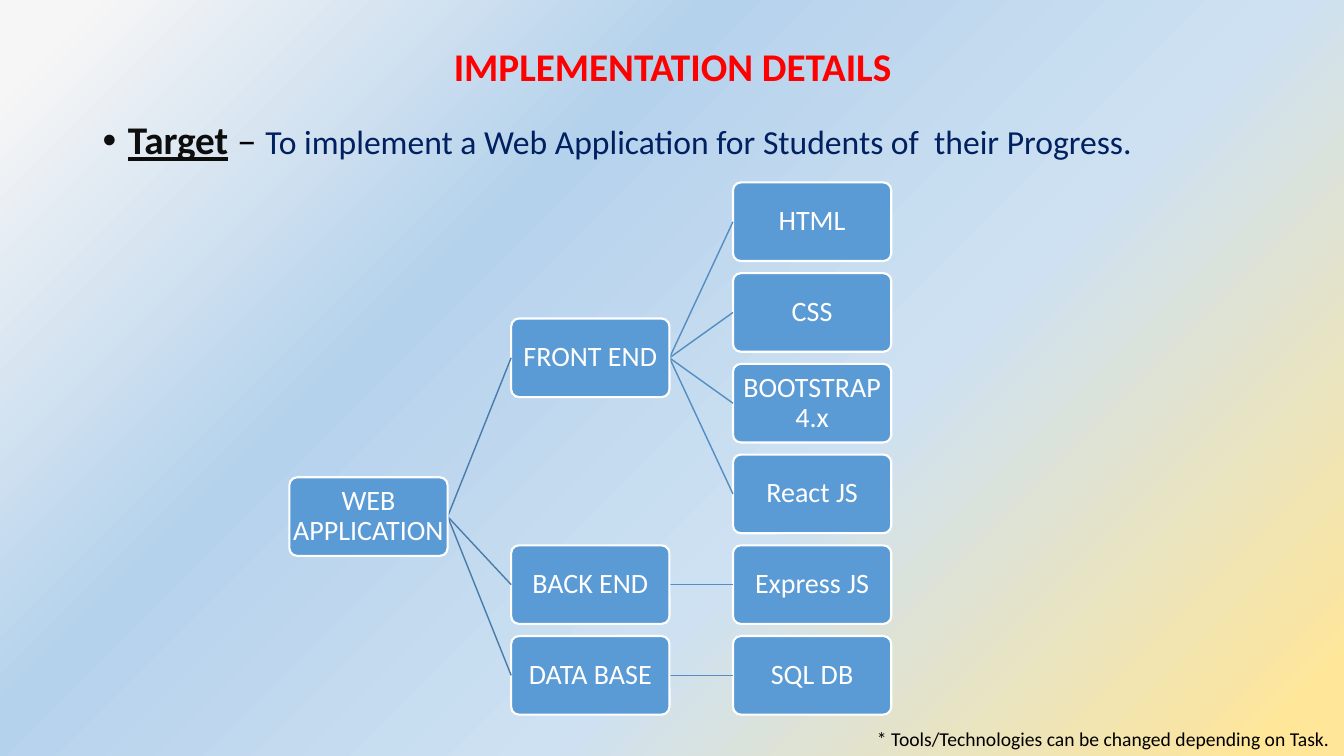
from dataclasses import dataclass

import lxml.etree
import pptx
import pptx.dml.color
import pptx.enum.shapes
import pptx.enum.text
import pptx.oxml.ns
import pptx.slide
import pptx.text.text
import pptx.util

Inches = pptx.util.Inches
Align = pptx.enum.text.PP_ALIGN
Anchor = pptx.enum.text.MSO_ANCHOR
qn = pptx.oxml.ns.qn

LEFT, TOP = 2.87, 1.81  # corner of the tree grid, in inches
COL, ROW = 2.2, 0.9  # grid pitch
WIDE, HIGH = 1.57, 0.78  # box size
LINKS = ["497CAB", "538DC1"]  # link colour by depth
STOPS = [(4, "F7F6F6"), (34, "B5D2EC"), (62, "CEE1F2"), (96, "FFE699")]


@dataclass
class Node:
    name: str
    kids: tuple["Node", ...] = ()


TREE = Node("WEB APPLICATION", (
    Node("FRONT END", (
        Node("HTML"), Node("CSS"), Node("BOOTSTRAP 4.x"), Node("React JS"))),
    Node("BACK END", (Node("Express JS"),)),
    Node("DATA BASE", (Node("SQL DB"),)),
))


def color(code: str) -> pptx.dml.color.RGBColor:
    return pptx.dml.color.RGBColor.from_string(code)


def style(font: pptx.text.text.Font, size: float, code: str,
          bold: bool = False) -> None:
    font.name = "Calibri"
    font.size = pptx.util.Pt(size)
    font.bold = bold
    font.color.rgb = color(code)


def paint(slide: pptx.slide.Slide) -> None:
    """Fill the background with the diagonal gradient."""
    fill = slide.background.fill
    fill.gradient()
    grad = slide.background._cSld.find(".//" + qn("a:gradFill"))
    stops = grad.find(qn("a:gsLst"))
    for stop in list(stops):
        stops.remove(stop)
    for pos, code in STOPS:
        stop = lxml.etree.SubElement(stops, qn("a:gs"), pos=str(pos * 1000))
        lxml.etree.SubElement(stop, qn("a:srgbClr"), val=code)
    line = grad.find(qn("a:lin"))
    line.set("ang", str(45 * 60000))
    line.set("scaled", "0")


def write(slide: pptx.slide.Slide, left: float, top: float, width: float,
          height: float, wrap: bool = True) -> pptx.text.text.TextFrame:
    box = slide.shapes.add_textbox(
        Inches(left), Inches(top), Inches(width), Inches(height))
    box.text_frame.word_wrap = wrap
    return box.text_frame


def link(slide: pptx.slide.Slide, depth: int, start: float,
         end: float) -> None:
    """Join a box to its child, from row to row."""
    left = LEFT + depth * COL + WIDE
    mid = TOP + HIGH / 2
    wire = slide.shapes.add_connector(
        pptx.enum.shapes.MSO_CONNECTOR.STRAIGHT,
        Inches(left), Inches(mid + start * ROW),
        Inches(left + COL - WIDE), Inches(mid + end * ROW))
    wire.line.color.rgb = color(LINKS[depth])
    wire.line.width = pptx.util.Pt(1)
    lxml.etree.SubElement(wire._element.spPr, qn("a:effectLst"))


def block(slide: pptx.slide.Slide, name: str, depth: int,
          row: float) -> None:
    box = slide.shapes.add_shape(
        pptx.enum.shapes.MSO_SHAPE.ROUNDED_RECTANGLE,
        Inches(LEFT + depth * COL), Inches(TOP + row * ROW),
        Inches(WIDE), Inches(HIGH))
    box.adjustments[0] = 0.1
    box.shadow.inherit = False
    box.fill.solid()
    box.fill.fore_color.rgb = color("5B9BD5")
    box.line.color.rgb = color("FFFFFF")
    box.line.width = pptx.util.Pt(1.5)
    frame = box.text_frame
    frame.word_wrap = True
    frame.vertical_anchor = Anchor.MIDDLE
    # The rounded corners already inset the text.
    frame.margin_left = frame.margin_right = 0
    frame.margin_top = frame.margin_bottom = 0
    para = frame.paragraphs[0]
    para.text = name
    para.alignment = Align.CENTER
    para.line_spacing = 0.9
    style(para.font, 20, "FFFFFF")


def grow(slide: pptx.slide.Slide, node: Node, depth: int = 0,
         first: int = 0) -> tuple[float, int]:
    """Draw a subtree; return its row and the next free leaf row."""
    rows, free = [], first
    for kid in node.kids:
        row, free = grow(slide, kid, depth + 1, free)
        rows.append(row)
    mid = (rows[0] + rows[-1]) / 2 if rows else first
    for row in rows:
        link(slide, depth, mid, row)
    block(slide, node.name, depth, mid)
    return mid, free if rows else first + 1


def head(slide: pptx.slide.Slide) -> None:
    frame = write(slide, 0.92, 0.4, 11.5, 0.57)
    frame.vertical_anchor = Anchor.MIDDLE
    para = frame.paragraphs[0]
    para.text = "IMPLEMENTATION DETAILS"
    para.alignment = Align.CENTER
    para.line_spacing = 0.9
    style(para.font, 28, "FF0000", True)


def target(slide: pptx.slide.Slide) -> None:
    para = write(slide, 0.92, 1.15, 11.5, 0.6).paragraphs[0]
    para.line_spacing = 0.9
    para.space_before = pptx.util.Pt(10)
    props = para._p.get_or_add_pPr()
    props.set("marL", str(Inches(0.25)))
    props.set("indent", str(Inches(-0.25)))
    lxml.etree.SubElement(props, qn("a:buFont"), typeface="Arial")
    lxml.etree.SubElement(props, qn("a:buChar"), char="•")
    for text, size, code, bold in [
        ("Target", 28, "0D0D0D", True),
        (" – ", 28, "000000", False),
        ("To implement a Web Application for Students of  their Progress.",
         24, "002060", False),
    ]:
        run = para.add_run()
        run.text = text
        style(run.font, size, code, bold)
        run.font.underline = bold


def note(slide: pptx.slide.Slide) -> None:
    para = write(slide, 8.6, 7.16, 4.73, 0.34, False).paragraphs[0]
    para.text = "* Tools/Technologies can be changed depending on Task."
    style(para.font, 14, "000000")


def main() -> None:
    deck = pptx.Presentation()
    deck.slide_width, deck.slide_height = Inches(13.33), Inches(7.5)
    slide = deck.slides.add_slide(deck.slide_layouts[6])
    paint(slide)
    head(slide)
    target(slide)
    grow(slide, TREE)
    note(slide)
    deck.save("out.pptx")


if __name__ == "__main__":
    main()
